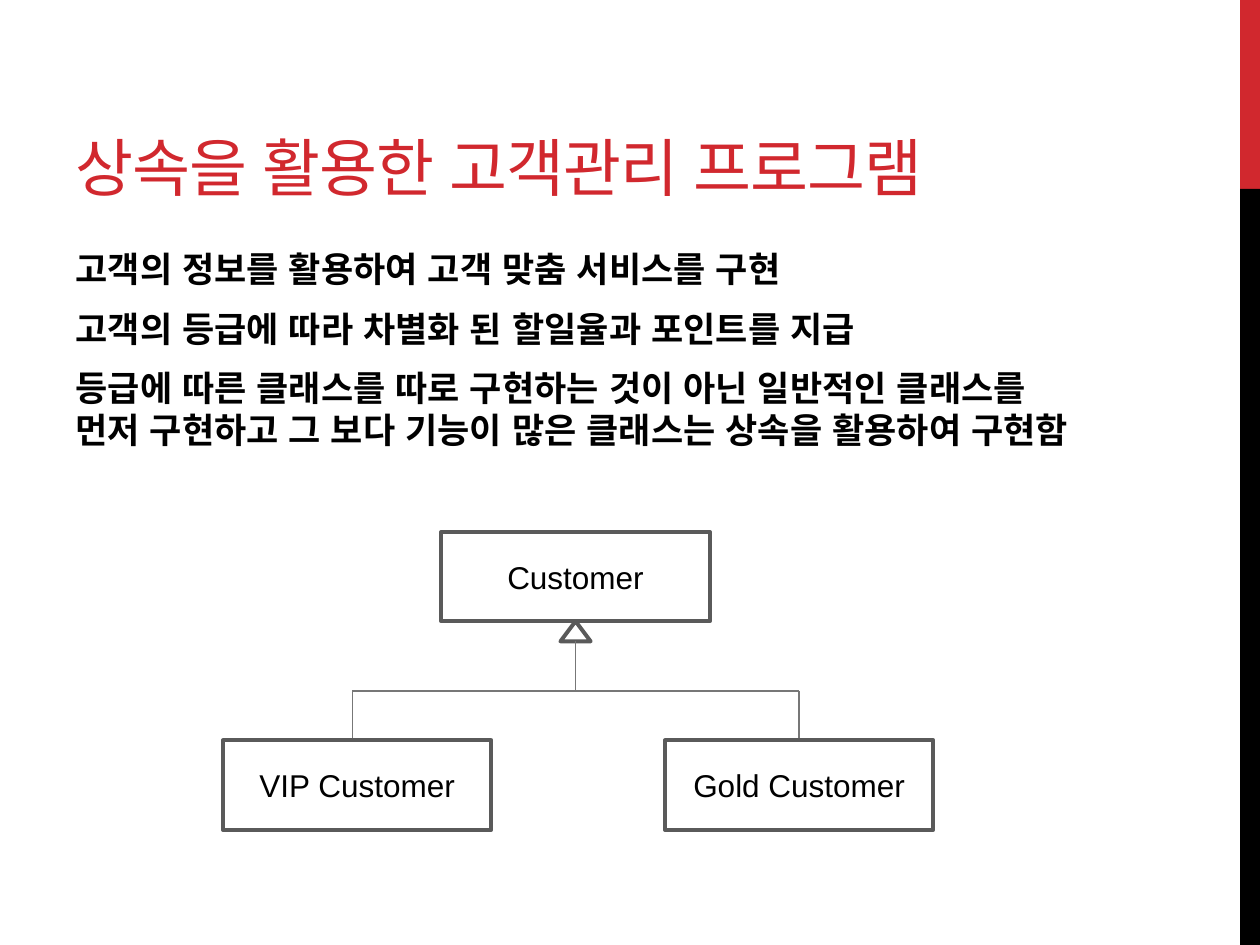
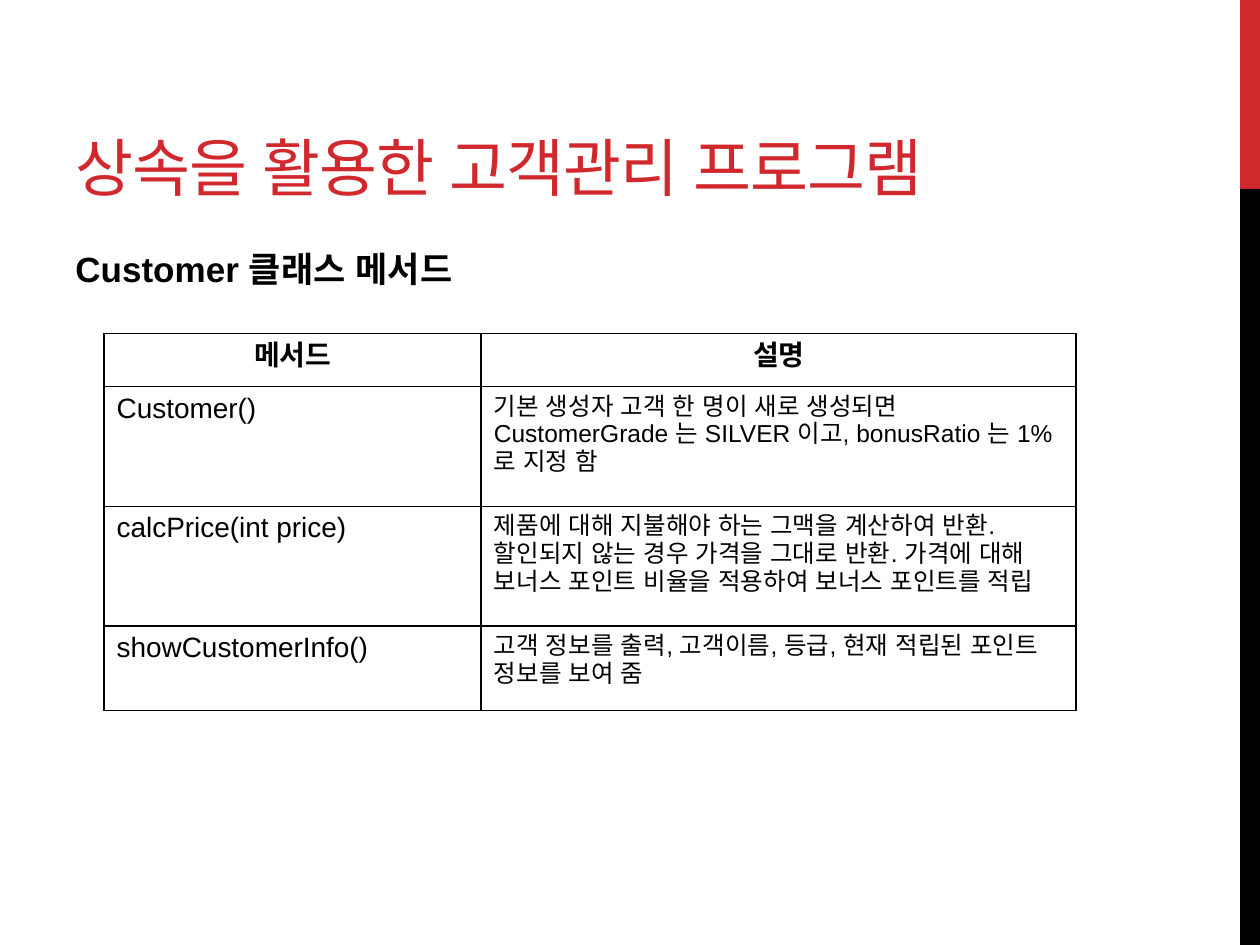
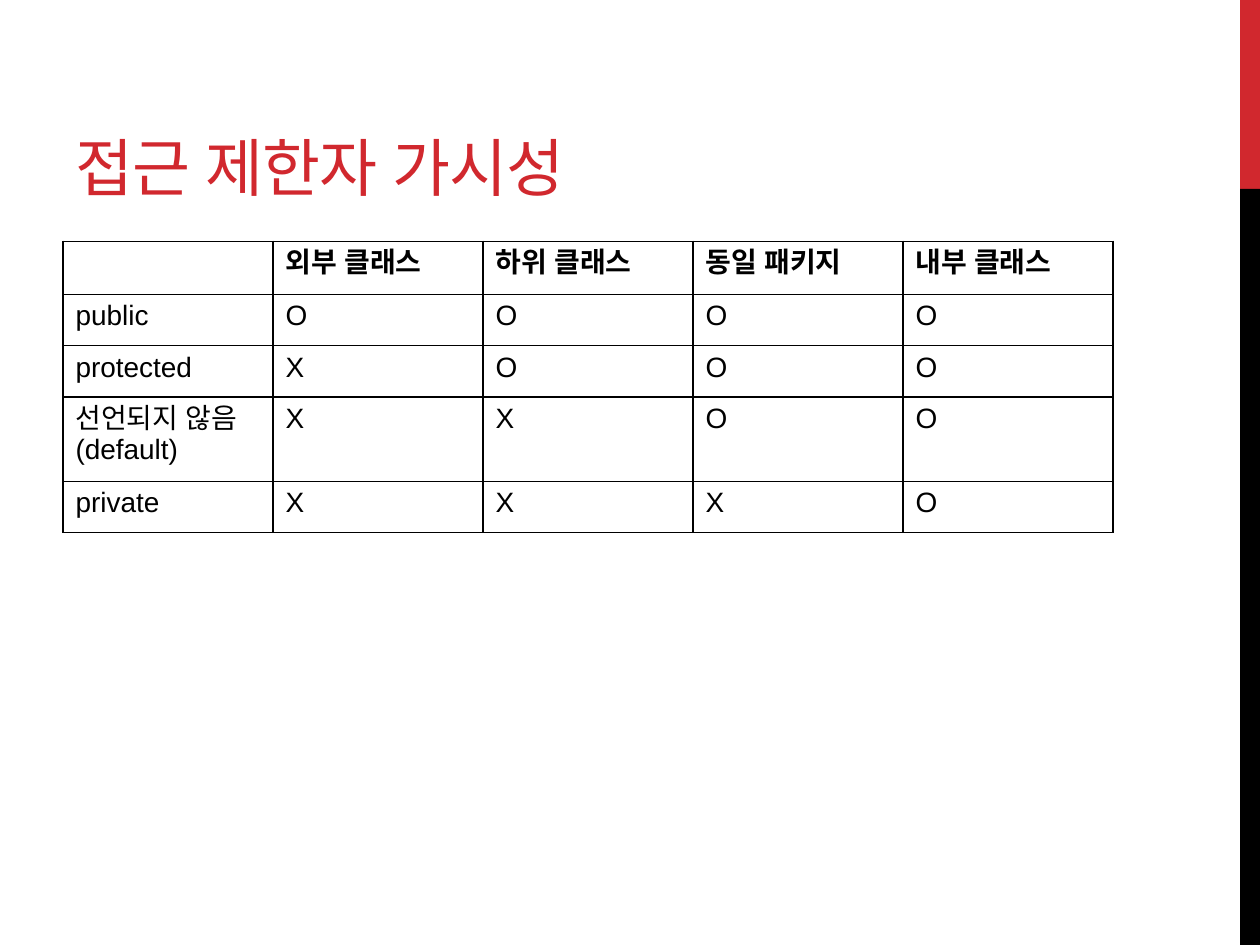
from lxml import etree
from pptx import Presentation
from pptx.dml.color import RGBColor
from pptx.enum.shapes import MSO_CONNECTOR, MSO_SHAPE
from pptx.enum.text import MSO_ANCHOR, PP_ALIGN
from pptx.oxml.ns import qn
from pptx.util import Pt

RECTANGLE = MSO_SHAPE.RECTANGLE
TRIANGLE = MSO_SHAPE.ISOSCELES_TRIANGLE
STRAIGHT = MSO_CONNECTOR.STRAIGHT
LEFT, CENTER = PP_ALIGN.LEFT, PP_ALIGN.CENTER
TOP, MIDDLE, BOTTOM = MSO_ANCHOR.TOP, MSO_ANCHOR.MIDDLE, MSO_ANCHOR.BOTTOM

# Shared look
RED, BLACK = "D1282E", "000000"
BOX_GRAY, LINE_GRAY = "5A5A5A", "777777"
TITLE_FONT, BODY_FONT = "Montserrat", "Arial"
SLIDE_WIDTH, SLIDE_HEIGHT = 720, 540
BAND_LEFT, BAND_SPLIT = 708.7, 108
MARGIN, BODY_TOP, BODY_WIDTH = 36, 138, 600

# Table row heights by content
HEADER_ROW, PLAIN_ROW, TWO_LINE_ROW, THREE_LINE_ROW = 30.3, 29.3, 48.2, 68.5

# Class diagram
BOX_WIDTH, BOX_HEIGHT = 153.4, 51.1
PARENT_LEFT, PARENT_TOP = 252.2, 303.9
CHILD_TOP, BRANCH_TOP = 423.1, 394.8
ARROW_WIDTH, ARROW_HEIGHT = 17.3, 11.5
CHILDREN = [("VIP Customer", 127.4, 201.4), ("Gold Customer", 380, 456.5)]

CUSTOMER_TITLE = "상속을 활용한 고객관리 프로그램"
CUSTOMER_POINTS = [
    "고객의 정보를 활용하여 고객 맞춤 서비스를 구현",
    "고객의 등급에 따라 차별화 된 할일율과 포인트를 지급",
    "등급에 따른 클래스를 따로 구현하는 것이 아닌 일반적인 클래스를 먼저 "
    "구현하고 그 보다 기능이 많은 클래스는 상속을 활용하여 구현함",
]
METHODS = [
    ["메서드", "설명"],
    ["Customer()",
     "기본 생성자 고객 한 명이 새로 생성되면 CustomerGrade 는 SILVER 이고, "
     "bonusRatio 는 1%로 지정 함"],
    ["calcPrice(int price)",
     "제품에 대해 지불해야 하는 그맥을 계산하여 반환. 할인되지 않는 경우 가격을 "
     "그대로 반환. 가격에 대해 보너스 포인트 비율을 적용하여 보너스 포인트를 적립"],
    ["showCustomerInfo()",
     "고객 정보를 출력, 고객이름, 등급, 현재 적립된 포인트 정보를 보여 줌"],
]
METHOD_HEIGHTS = [HEADER_ROW, THREE_LINE_ROW, THREE_LINE_ROW, TWO_LINE_ROW]
VISIBILITY = [
    ["", "외부 클래스", "하위 클래스", "동일 패키지", "내부 클래스"],
    ["public", *"OOOO"],
    ["protected", *"XOOO"],
    ["선언되지 않음\n(default)", *"XXOO"],
    ["private", *"XXXO"],
]
VISIBILITY_HEIGHTS = [HEADER_ROW, PLAIN_ROW, PLAIN_ROW, TWO_LINE_ROW, PLAIN_ROW]


def color(value):
    return RGBColor.from_string(value)


def write(frame, text, size, font=BODY_FONT, text_color=BLACK, bold=False, align=LEFT):
    """Fill a text frame, one paragraph for each line of text."""
    frame.text = text
    for paragraph in frame.paragraphs:
        paragraph.alignment = align
        paragraph.font.name = font
        paragraph.font.size = Pt(size)
        paragraph.font.bold = bold
        paragraph.font.color.rgb = color(text_color)
        # Korean text and the spaces in it take the East Asian font
        defaults = paragraph._p.get_or_add_pPr().get_or_add_defRPr()
        etree.SubElement(defaults, qn("a:ea"), typeface=BODY_FONT)


def add_text_box(slide, left, top, width, height, anchor):
    frame = slide.shapes.add_textbox(Pt(left), Pt(top), Pt(width), Pt(height)).text_frame
    frame.word_wrap = True
    frame.vertical_anchor = anchor
    return frame


def add_shape(slide, kind, left, top, width, height, fill=None, line=None):
    shape = slide.shapes.add_shape(kind, Pt(left), Pt(top), Pt(width), Pt(height))
    shape.shadow.inherit = False
    if fill:
        shape.fill.solid()
        shape.fill.fore_color.rgb = color(fill)
    else:
        shape.fill.background()
    if line:
        shape.line.color.rgb = color(line)
        shape.line.width = Pt(2.25)
    else:
        shape.line.fill.background()
    return shape


def add_class_box(slide, name, left, top):
    box = add_shape(slide, RECTANGLE, left, top, BOX_WIDTH, BOX_HEIGHT, line=BOX_GRAY)
    box.text_frame.vertical_anchor = MIDDLE
    write(box.text_frame, name, 18, align=CENTER)


def add_line(slide, x1, y1, x2, y2):
    line = slide.shapes.add_connector(STRAIGHT, Pt(x1), Pt(y1), Pt(x2), Pt(y2))
    line.line.color.rgb = color(LINE_GRAY)
    line.line.width = Pt(1)
    etree.SubElement(line._element.spPr, qn("a:effectLst"))


def add_body(slide, lines):
    frame = add_text_box(slide, MARGIN, BODY_TOP, BODY_WIDTH, 344, TOP)
    write(frame, "\n".join(lines), 20, bold=True)
    for paragraph in frame.paragraphs:
        paragraph.space_before = Pt(4)
        paragraph.space_after = Pt(6)


def set_borders(cell):
    properties = cell._tc.get_or_add_tcPr()
    for index, side in enumerate(("lnL", "lnR", "lnT", "lnB")):
        border = etree.Element(qn(f"a:{side}"), w=str(Pt(1)))
        fill = etree.SubElement(border, qn("a:solidFill"))
        etree.SubElement(fill, qn("a:srgbClr"), val=BLACK)
        properties.insert(index, border)


def add_table(slide, rows, left, top, widths, heights, sizes, header_align=LEFT):
    """Draw a ruled table; sizes gives each column's text size below the header."""
    table = slide.shapes.add_table(
        len(rows), len(widths), Pt(left), Pt(top),
        Pt(sum(widths)), Pt(sum(heights))).table
    table.first_row = table.horz_banding = False
    for column, width in zip(table.columns, widths):
        column.width = Pt(width)
    for row_index, row in enumerate(rows):
        table.rows[row_index].height = Pt(heights[row_index])
        header = row_index == 0
        for column_index, text in enumerate(row):
            cell = table.cell(row_index, column_index)
            cell.fill.background()
            set_borders(cell)
            write(cell.text_frame, text, 16 if header else sizes[column_index],
                  bold=header, align=header_align if header else LEFT)


def new_slide(presentation, title, title_width):
    """Add a blank slide with the side band and the title."""
    slide = presentation.slides.add_slide(presentation.slide_layouts[6])
    band_width = SLIDE_WIDTH - BAND_LEFT
    add_shape(slide, RECTANGLE, BAND_LEFT, 0, band_width, BAND_SPLIT, fill=RED)
    add_shape(slide, RECTANGLE, BAND_LEFT, BAND_SPLIT, band_width,
              SLIDE_HEIGHT - BAND_SPLIT, fill=BLACK)
    frame = add_text_box(slide, MARGIN, 12, title_width, 108, BOTTOM)
    write(frame, title, 36, font=TITLE_FONT, text_color=RED)
    frame.paragraphs[0].runs[0]._r.get_or_add_rPr().set("spc", "-60")
    return slide


def add_class_diagram(slide):
    center = PARENT_LEFT + BOX_WIDTH / 2
    arrow_top = PARENT_TOP + BOX_HEIGHT
    add_class_box(slide, "Customer", PARENT_LEFT, PARENT_TOP)
    add_shape(slide, TRIANGLE, center - ARROW_WIDTH / 2, arrow_top,
              ARROW_WIDTH, ARROW_HEIGHT, line=BOX_GRAY)
    add_line(slide, center, arrow_top + ARROW_HEIGHT, center, BRANCH_TOP)
    add_line(slide, CHILDREN[0][2], BRANCH_TOP, CHILDREN[-1][2], BRANCH_TOP)
    for name, left, branch in CHILDREN:
        add_line(slide, branch, BRANCH_TOP, branch, CHILD_TOP)
        add_class_box(slide, name, left, CHILD_TOP)


def main():
    presentation = Presentation()
    presentation.slide_width = Pt(SLIDE_WIDTH)
    presentation.slide_height = Pt(SLIDE_HEIGHT)

    # Customer classes
    slide = new_slide(presentation, CUSTOMER_TITLE, 647)
    add_body(slide, CUSTOMER_POINTS)
    add_class_diagram(slide)

    # Customer methods
    slide = new_slide(presentation, CUSTOMER_TITLE, 608)
    add_body(slide, ["Customer 클래스 메서드"])
    add_table(slide, METHODS, 59.5, 190.6, [215.5, 340], METHOD_HEIGHTS,
              [16, 14], CENTER)

    # Access modifiers
    slide = new_slide(presentation, "접근 제한자 가시성", 456)
    add_table(slide, VISIBILITY, MARGIN, BODY_TOP, [BODY_WIDTH / 5] * 5,
              VISIBILITY_HEIGHTS, [16] * 5)

    presentation.save("out.pptx")


main()
